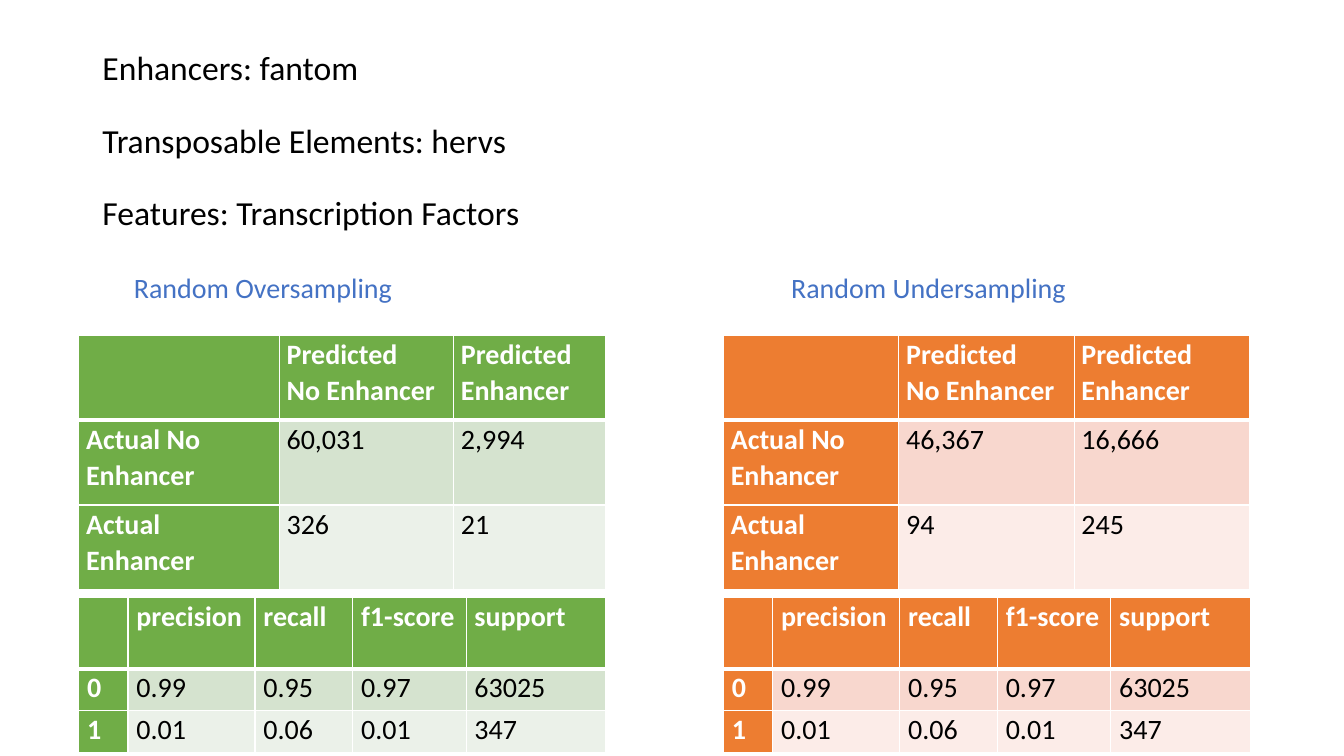
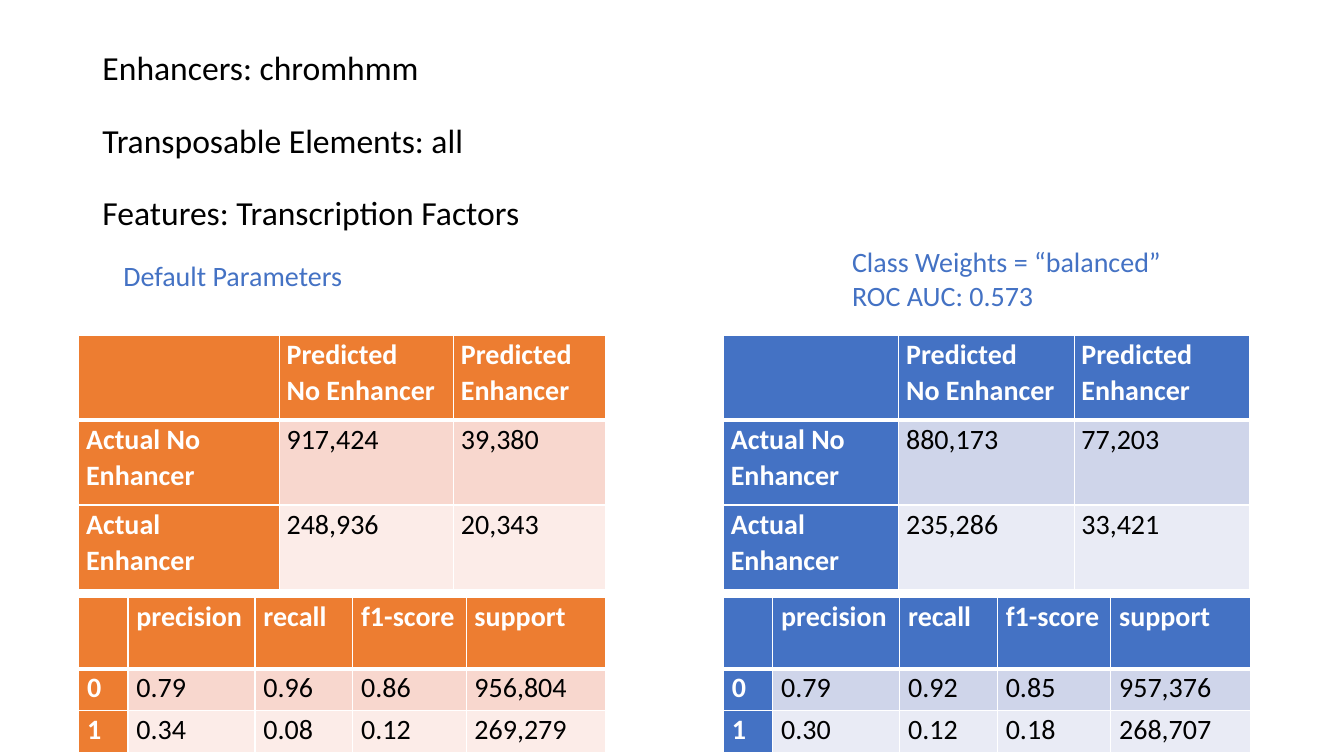
from lxml import etree
from pptx import Presentation
from pptx.dml.color import RGBColor
from pptx.enum.text import MSO_ANCHOR, MSO_AUTO_SIZE, PP_ALIGN
from pptx.oxml.ns import qn
from pptx.util import Emu, Pt

MIDDLE = MSO_ANCHOR.MIDDLE
NO_FIT = MSO_AUTO_SIZE.NONE
LEFT = PP_ALIGN.LEFT

EMU_PER_PX = 9525
TITLE_ONLY = 5
COLORS = {
    "white": "FFFFFF", "black": "000000",
    "green": "70AD47", "green_band": "D5E3CF", "green_pale": "EBF1E9",
    "orange": "ED7D31", "orange_band": "F8D7CE", "orange_pale": "FCECE8",
    "blue": "4472C4", "blue_band": "CFD5EA", "blue_pale": "E9EBF5",
}

CONFUSION_HEADER = ["", "Predicted\nNo Enhancer", "Predicted\nEnhancer"]
CONFUSION_LABELS = ["Actual No Enhancer", "Actual Enhancer"]
REPORT_HEADER = ["", "precision", "recall", "f1-score", "support"]
REPORT_LABELS = ["0", "1"]
CONFUSION_TOP, CONFUSION_ROWS = 319, [81, 81, 81]
REPORT_TOP, REPORT_ROWS = 569, [68, 40, 40]
REPORT_COLS = [47, 121, 93, 108, 133]
SIDES = [(75, [191, 166, 145]), (689, [167, 167, 167])]

HERVS_REPORT = [["0.99", "0.95", "0.97", "63025"], ["0.01", "0.06", "0.01", "347"]]
EXPERIMENTS = [
    {
        "enhancers": "fantom",
        "elements": "hervs",
        "models": [
            {"name": "Random Oversampling", "box": (118, 253, 394, 42), "accent": "green",
             "confusion": [["60,031", "2,994"], ["326", "21"]],
             "report": HERVS_REPORT},
            {"name": "Random Undersampling", "box": (744, 253, 394, 42), "accent": "orange",
             "confusion": [["46,367", "16,666"], ["94", "245"]],
             "report": HERVS_REPORT},
        ],
    },
    {
        "enhancers": "chromhmm",
        "elements": "all",
        "models": [
            {"name": "Default Parameters", "box": (108, 241, 394, 42), "accent": "orange",
             "confusion": [["917,424", "39,380"], ["248,936", "20,343"]],
             "report": [["0.79", "0.96", "0.86", "956,804"],
                        ["0.34", "0.08", "0.12", "269,279"]]},
            {"name": "Class Weights = “balanced”\nROC AUC: 0.573",
             "box": (802, 228, 435, 107), "accent": "blue",
             "confusion": [["880,173", "77,203"], ["235,286", "33,421"]],
             "report": [["0.79", "0.92", "0.85", "957,376"],
                        ["0.30", "0.12", "0.18", "268,707"]]},
        ],
    },
]


def px(length):
    return Emu(length * EMU_PER_PX)


def rgb(color):
    return RGBColor.from_string(COLORS[color])


class Deck:
    font = "Calibri"
    title_size = 24
    text_size = 20

    def __init__(self):
        self.presentation = Presentation()
        self.presentation.slide_width = px(1280)
        self.presentation.slide_height = px(720)
        self.slide = None

    def new_slide(self):
        layout = self.presentation.slide_layouts[TITLE_ONLY]
        self.slide = self.presentation.slides.add_slide(layout)

    def style(self, frame, size, color, bold=False, line_spacing=1.0):
        for paragraph in frame.paragraphs:
            paragraph.alignment = LEFT
            paragraph.line_spacing = line_spacing
            paragraph.font.name = self.font
            paragraph.font.size = Pt(size)
            paragraph.font.bold = bold
            paragraph.font.color.rgb = rgb(color)

    def title(self, lines):
        title = self.slide.shapes.title
        title.left, title.top, title.width, title.height = map(px, (88, 66, 1131, 139))
        frame = title.text_frame
        frame.text = "\n".join(lines)
        frame.auto_size = NO_FIT
        frame.vertical_anchor = MIDDLE
        self.style(frame, self.title_size, "black", line_spacing=0.9)
        for paragraph in frame.paragraphs[1:]:
            paragraph.space_before = Pt(26)

    def label(self, text, box):
        frame = self.slide.shapes.add_textbox(*map(px, box)).text_frame
        frame.word_wrap = True
        frame.text = text
        self.style(frame, self.text_size, "blue")

    def borders(self, cell, row):
        widths = {
            "a:lnL": 1,
            "a:lnR": 1,
            "a:lnT": 3 if row == 1 else 1,
            "a:lnB": 3 if row == 0 else 1,
        }
        properties = cell._tc.get_or_add_tcPr()
        for tag, width in widths.items():
            line = etree.SubElement(properties, qn(tag), w=str(Pt(width)))
            fill = etree.SubElement(line, qn("a:solidFill"))
            etree.SubElement(fill, qn("a:srgbClr"), val=COLORS["white"])

    def table(self, rows, left, top, widths, heights, accent, inset):
        box = map(px, (left, top, sum(widths), sum(heights)))
        table = self.slide.shapes.add_table(len(rows), len(widths), *box).table
        for column, width in zip(table.columns, widths):
            column.width = px(width)
        for table_row, height in zip(table.rows, heights):
            table_row.height = px(height)
        fills = [accent, accent + "_band", accent + "_pale"]
        for r, values in enumerate(rows):
            for c, value in enumerate(values):
                heading = r == 0 or c == 0
                cell = table.cell(r, c)
                cell.margin_left = cell.margin_right = px(inset)
                cell.margin_top = cell.margin_bottom = 0
                self.borders(cell, r)
                cell.fill.solid()
                cell.fill.fore_color.rgb = rgb(accent if heading else fills[r])
                cell.text = value
                self.style(cell.text_frame, self.text_size,
                           "white" if heading else "black", heading, 1.07)

    def model(self, model, left, confusion_cols):
        confusion = [CONFUSION_HEADER] + [
            [label, *counts] for label, counts in zip(CONFUSION_LABELS, model["confusion"])]
        report = [REPORT_HEADER] + [
            [label, *scores] for label, scores in zip(REPORT_LABELS, model["report"])]
        self.table(confusion, left, CONFUSION_TOP, confusion_cols, CONFUSION_ROWS,
                   model["accent"], 7)
        self.table(report, left, REPORT_TOP, REPORT_COLS, REPORT_ROWS,
                   model["accent"], 8)
        self.label(model["name"], model["box"])


def main():
    deck = Deck()
    for experiment in EXPERIMENTS:
        deck.new_slide()
        deck.title([
            f"Enhancers: {experiment['enhancers']}",
            f"Transposable Elements: {experiment['elements']}",
            "Features: Transcription Factors",
        ])
        for model, (left, confusion_cols) in zip(experiment["models"], SIDES):
            deck.model(model, left, confusion_cols)
    deck.presentation.save("out.pptx")


if __name__ == "__main__":
    main()
